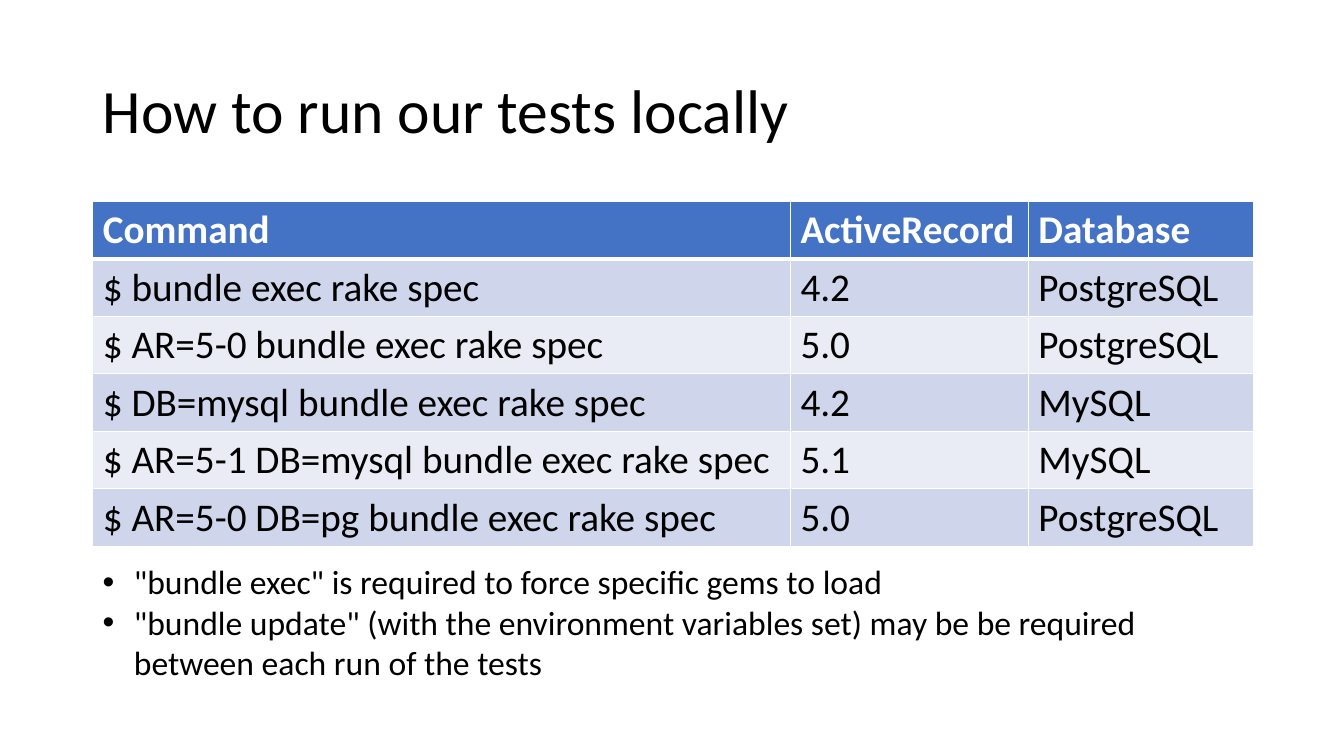
"""Build a slide on running the tests locally: a command table and two notes."""
from dataclasses import dataclass

import lxml.etree
import pptx
import pptx.dml.color
import pptx.enum.text
import pptx.oxml.ns
import pptx.util
from pptx.util import Inches


@dataclass(frozen=True)
class Theme:
    font: str = "Calibri"
    text: str = "000000"
    light: str = "FFFFFF"
    header: str = "4472C4"
    bands: tuple = ("E9EBF5", "CFD5EA")
    title_size: int = 44
    table_size: int = 28
    note_size: int = 24
    rule: int = 1
    header_rule: int = 3


theme = Theme()
qn = pptx.oxml.ns.qn


def style(paragraph, size, color, bold=False):
    """Set the font of a whole paragraph."""
    paragraph.font.name = theme.font
    paragraph.font.size = pptx.util.Pt(size)
    paragraph.font.bold = bold
    paragraph.font.color.rgb = pptx.dml.color.RGBColor.from_string(color)


def add_border(cell, position, side, width):
    """Draw one side of a cell's border."""
    line = lxml.etree.Element(qn(f"a:ln{side}"), w=str(pptx.util.Pt(width)))
    fill = lxml.etree.SubElement(line, qn("a:solidFill"))
    lxml.etree.SubElement(fill, qn("a:srgbClr"), val=theme.light)
    cell._tc.get_or_add_tcPr().insert(position, line)


deck = pptx.Presentation()
deck.slide_width, deck.slide_height = Inches(13.33), Inches(7.5)
slide = deck.slides.add_slide(deck.slide_layouts[6])
left, width = Inches(0.92), Inches(11.5)

title = slide.shapes.add_textbox(left, Inches(0.4), width, Inches(1.45)).text_frame
title.word_wrap = True
title.vertical_anchor = pptx.enum.text.MSO_ANCHOR.MIDDLE
title.text = "How to run our tests locally"
title.paragraphs[0].line_spacing = 0.9
style(title.paragraphs[0], theme.title_size, theme.text)

commands = [
    ("Command", "ActiveRecord", "Database"),
    ("$ bundle exec rake spec", "4.2", "PostgreSQL"),
    ("$ AR=5-0 bundle exec rake spec", "5.0", "PostgreSQL"),
    ("$ DB=mysql bundle exec rake spec", "4.2", "MySQL"),
    ("$ AR=5-1 DB=mysql bundle exec rake spec", "5.1", "MySQL"),
    ("$ AR=5-0 DB=pg bundle exec rake spec", "5.0", "PostgreSQL"),
]
column_widths = [6.92, 2.36, 2.23]
row_height = 0.57
table = slide.shapes.add_table(
    len(commands), len(column_widths), left, Inches(2),
    Inches(sum(column_widths)), Inches(row_height * len(commands)),
).table
for column, column_width in zip(table.columns, column_widths):
    column.width = Inches(column_width)

for row, entries in enumerate(commands):
    is_header = row == 0
    background = theme.header if is_header else theme.bands[row % 2]
    border_widths = {
        "L": theme.rule,
        "R": theme.rule,
        "T": theme.header_rule if row == 1 else theme.rule,
        "B": theme.header_rule if is_header else theme.rule,
    }
    for column, entry in enumerate(entries):
        cell = table.cell(row, column)
        cell.text = entry
        cell.fill.solid()
        cell.fill.fore_color.rgb = pptx.dml.color.RGBColor.from_string(background)
        style(cell.text_frame.paragraphs[0], theme.table_size,
              theme.light if is_header else theme.text, is_header)
        for position, (side, border_width) in enumerate(border_widths.items()):
            add_border(cell, position, side, border_width)

notes = [
    '"bundle exec" is required to force specific gems to load',
    '"bundle update" (with the environment variables set) may be be required '
    "between each run of the tests",
]
advice = slide.shapes.add_textbox(left, Inches(5.52), width, Inches(1.31)).text_frame
advice.word_wrap = True
advice.text = "\n".join(notes)
for paragraph in advice.paragraphs:
    properties = paragraph._p.get_or_add_pPr()
    properties.set("marL", str(Inches(0.31)))
    properties.set("indent", str(Inches(-0.31)))
    lxml.etree.SubElement(properties, qn("a:buFont"), typeface="Arial")
    lxml.etree.SubElement(properties, qn("a:buChar"), char="•")
    style(paragraph, theme.note_size, theme.text)

deck.save("out.pptx")
